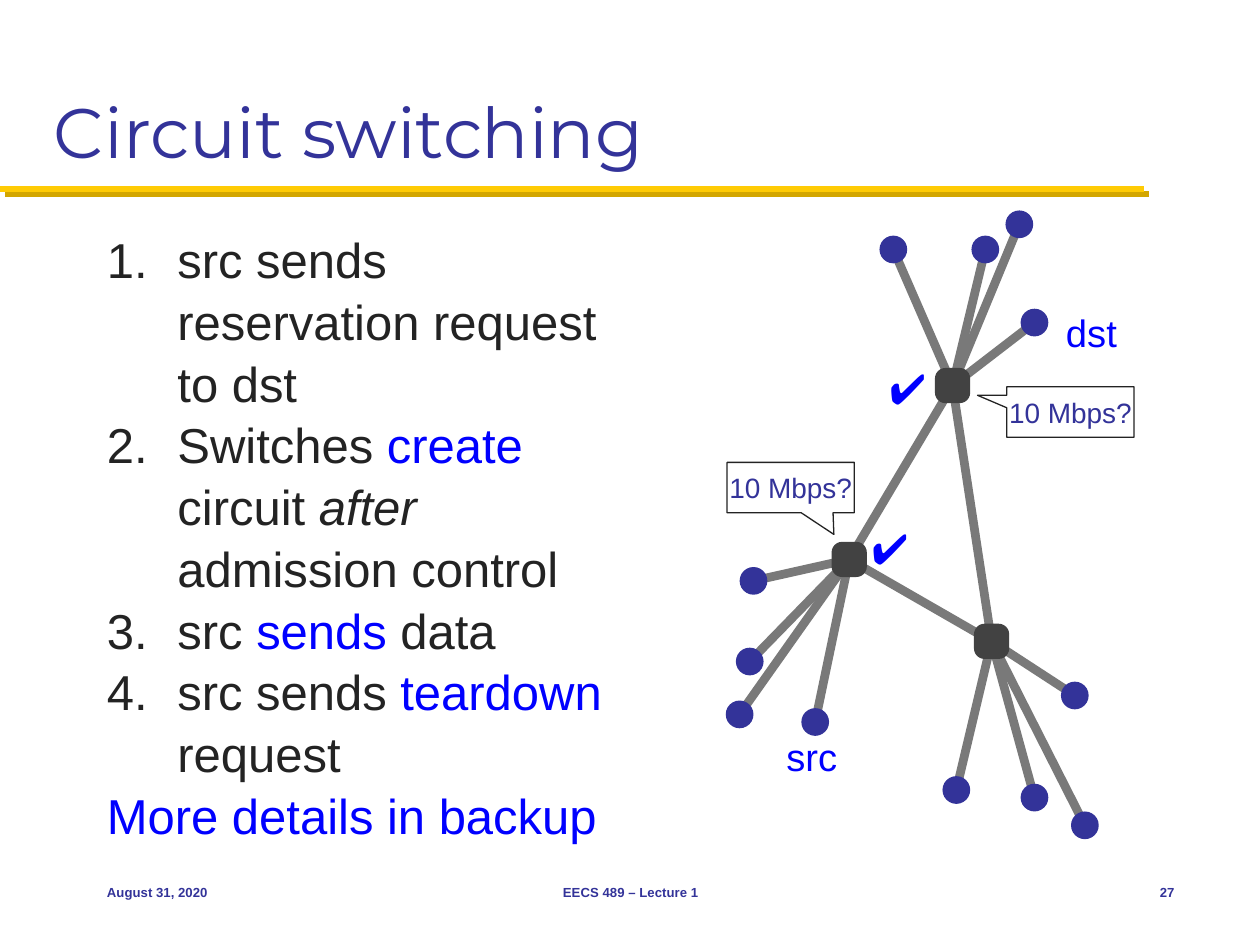
from dataclasses import dataclass
from typing import Any

from lxml import etree
from pptx import Presentation
from pptx import util as u
from pptx.dml.color import RGBColor
from pptx.enum import shapes, text
from pptx.oxml.ns import qn

EMU_PER_PX = 9144  # 100 px to the inch
HOST_SIZE = 22
SWITCH_SIZE = 28

# Each switch centre with the centres of the hosts attached to it
NETWORK = {
    (756, 306): [(709, 198), (782, 198), (809, 178), (821, 256)],
    (674, 444): [(598, 461), (595, 525), (587, 567), (647, 573)],
    (787, 509): [(853, 552), (759, 627), (821, 633), (861, 655)],
}

STEPS = [
    ["src sends reservation request to dst"],
    ["Switches ", "*create", " circuit ", "/after", " admission control"],
    ["src ", "*sends", " data"],
    ["src sends ", "*teardown", " request"],
]


def px(length):
    return u.Emu(length * EMU_PER_PX)


def color(value):
    return RGBColor.from_string(value)


@dataclass
class Deck:
    slide: Any
    font: str = "Arial"
    navy: str = "333399"
    ink: str = "232323"
    accent: str = "0000FF"
    link: str = "797979"
    switch: str = "424242"

    def style(self, paragraph, size, fill, font=None, bold=False):
        paragraph.font.name = font or self.font
        paragraph.font.size = u.Pt(size)
        paragraph.font.bold = bold
        paragraph.font.color.rgb = color(fill)

    def frame(self, left, top, width, height, inset=(10, 5), wrap=True,
              anchor=text.MSO_ANCHOR.TOP):
        """Add an empty text box and return its text frame."""
        box = self.slide.shapes.add_textbox(px(left), px(top), px(width), px(height))
        frame = box.text_frame
        frame.word_wrap = wrap
        frame.vertical_anchor = anchor
        frame.margin_left = frame.margin_right = px(inset[0])
        frame.margin_top = frame.margin_bottom = px(inset[1])
        return frame

    def label(self, words, area, size, fill, font=None, bold=False,
              align=text.PP_ALIGN.LEFT, **frame_options):
        paragraph = self.frame(*area, **frame_options).paragraphs[0]
        paragraph.text = words
        paragraph.alignment = align
        self.style(paragraph, size, fill, font, bold)

    def steps(self, area, steps, closing, size=28, indent=56):
        """Number the steps; runs marked * are accented and / are italic."""
        frame = self.frame(*area)
        for number, pieces in enumerate(steps):
            paragraph = frame.paragraphs[0] if number == 0 else frame.add_paragraph()
            properties = paragraph._p.get_or_add_pPr()
            properties.set("marL", str(px(indent)))
            properties.set("indent", str(-px(indent)))
            etree.SubElement(properties, qn("a:buFont"), typeface=self.font)
            etree.SubElement(properties, qn("a:buAutoNum"), type="arabicPeriod")
            self.style(paragraph, size, self.ink)
            for piece in pieces:
                run = paragraph.add_run()
                run.text = piece.lstrip("*/")
                if piece.startswith("*"):
                    run.font.color.rgb = color(self.accent)
                if piece.startswith("/"):
                    run.font.italic = True
        paragraph = frame.add_paragraph()
        paragraph.text = closing
        self.style(paragraph, size, self.accent)
        for paragraph in frame.paragraphs:
            paragraph.line_spacing = 1.05

    def line(self, start, end, fill, width):
        """Add a straight line and return its empty effect list."""
        connector = self.slide.shapes.add_connector(
            shapes.MSO_CONNECTOR.STRAIGHT, *map(px, (*start, *end)))
        connector.line.color.rgb = color(fill)
        connector.line.width = u.Pt(width)
        return etree.SubElement(connector._element.spPr, qn("a:effectLst"))

    def title_rule(self):
        effects = self.line((0, 150), (908, 150), "FFCB05", 3.5)
        shadow = etree.SubElement(effects, qn("a:outerShdw"), dist=str(u.Pt(4.2)),
                                  dir="2700000", algn="ctr", rotWithShape="0")
        etree.SubElement(shadow, qn("a:srgbClr"), val="D3A600")

    def node(self, center, kind, size, fill):
        left, top = (middle - size // 2 for middle in center)
        shape = self.slide.shapes.add_shape(kind, px(left), px(top), px(size), px(size))
        shape.shadow.inherit = False
        shape.fill.solid()
        shape.fill.fore_color.rgb = color(fill)
        shape.line.fill.background()
        return shape

    def network(self, network):
        switches = list(network)
        for index, switch in enumerate(switches):
            for neighbour in network[switch] + switches[index + 1:]:
                self.line(switch, neighbour, self.link, 5)
        for switch, hosts in network.items():
            for host in hosts:
                self.node(host, shapes.MSO_SHAPE.OVAL, HOST_SIZE, self.navy)
            square = self.node(switch, shapes.MSO_SHAPE.ROUNDED_RECTANGLE,
                               SWITCH_SIZE, self.switch)
            square.adjustments[0] = 0.3

    def callout(self, words, left, top, tip):
        """Add a speech box; tip is the pointer as fractions of its size."""
        shape = self.slide.shapes.add_shape(
            shapes.MSO_SHAPE.RECTANGULAR_CALLOUT, px(left), px(top), px(101), px(40))
        shape.shadow.inherit = False
        shape.adjustments[0], shape.adjustments[1] = tip
        shape.fill.background()
        shape.line.color.rgb = color(self.ink)
        shape.line.width = u.Pt(0.75)
        frame = shape.text_frame
        frame.word_wrap = False
        frame.vertical_anchor = text.MSO_ANCHOR.MIDDLE
        paragraph = frame.paragraphs[0]
        paragraph.text = words
        paragraph.alignment = text.PP_ALIGN.CENTER
        self.style(paragraph, 16, self.navy)


def main():
    presentation = Presentation()
    presentation.slide_width, presentation.slide_height = px(1000), px(750)
    deck = Deck(presentation.slides.add_slide(presentation.slide_layouts[6]))

    deck.title_rule()
    deck.label("Circuit switching", (33, 17, 933, 125), 40, deck.navy,
               font="Montserrat", anchor=text.MSO_ANCHOR.BOTTOM)
    deck.steps((75, 175, 425, 483), STEPS, "More details in backup")

    align = text.PP_ALIGN
    for words, left, width, alignment in [
        ("August 31, 2020", 75, 208, align.LEFT),
        ("EECS 489 – Lecture 1", 342, 317, align.CENTER),
        ("27", 875, 67, align.RIGHT),
    ]:
        deck.label(words, (left, 683, width, 50), 7.5, deck.navy, bold=True,
                   align=alignment, anchor=text.MSO_ANCHOR.MIDDLE)

    deck.network(NETWORK)
    for words, left, top in [("dst", 842, 241), ("src", 620, 578)]:
        deck.label(words, (left, top, 49, 45), 21.8, deck.accent, inset=(4, 4),
                   wrap=False, anchor=text.MSO_ANCHOR.MIDDLE)
    for left, top, tip in [(577, 367, (0.34, 0.93)), (799, 307, (-0.73, -0.33))]:
        deck.callout("10 Mbps?", left, top, tip)
    for left, top in [(682, 410), (696, 283)]:
        deck.label("✔️", (left, top, 54, 50), 24, deck.accent, font="Calibri", wrap=False)

    presentation.save("out.pptx")


if __name__ == "__main__":
    main()
